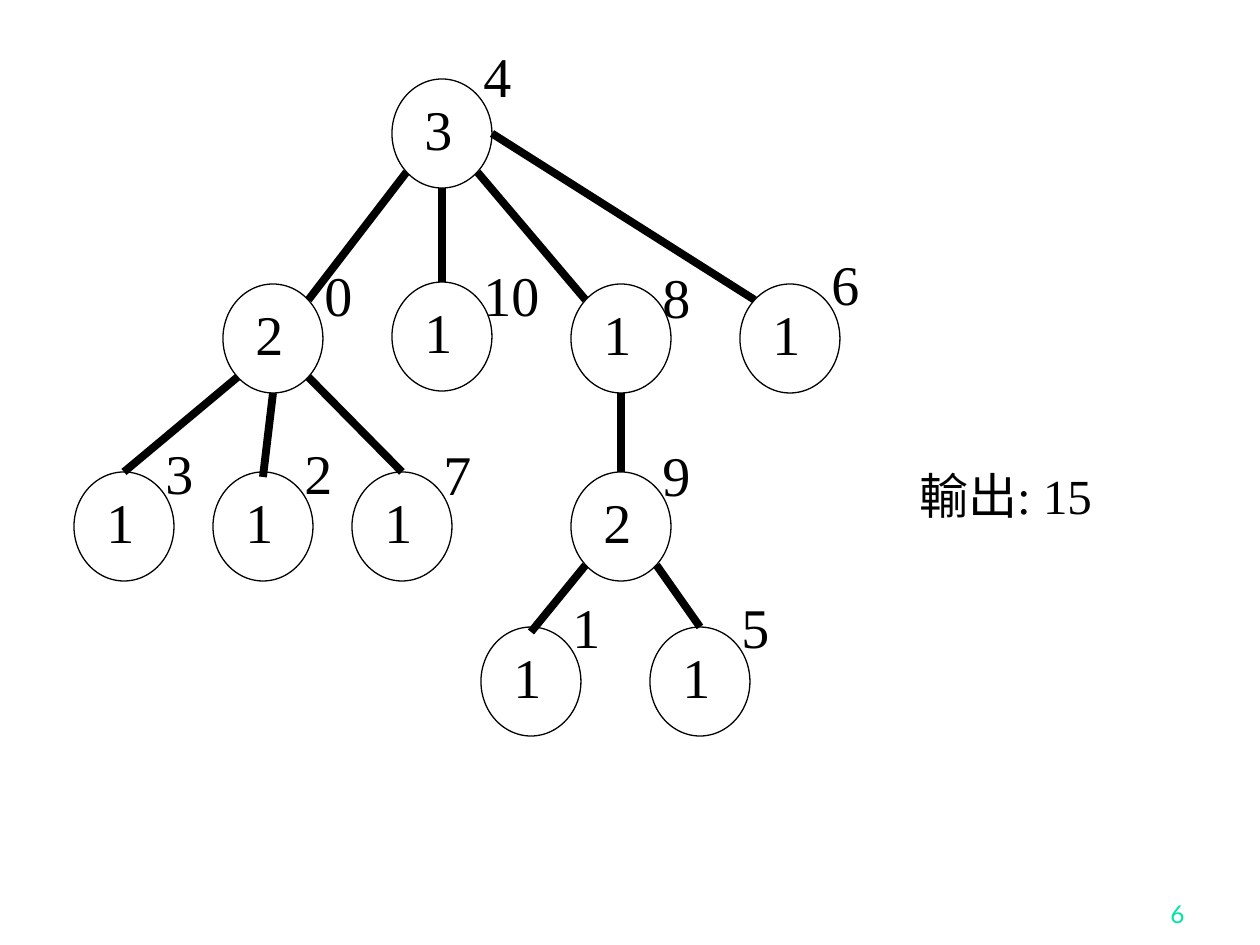
from lxml import etree
from pptx import Presentation
from pptx.dml.color import RGBColor
from pptx.enum.shapes import MSO_CONNECTOR, MSO_SHAPE
from pptx.enum.text import MSO_ANCHOR, PP_ALIGN
from pptx.oxml.ns import qn
from pptx.util import Pt

STRAIGHT, ELLIPSE = MSO_CONNECTOR.STRAIGHT, MSO_SHAPE.OVAL
TOP, BOTTOM = MSO_ANCHOR.TOP, MSO_ANCHOR.BOTTOM
LEFT, RIGHT = PP_ALIGN.LEFT, PP_ALIGN.RIGHT

COLORS = {"ink": "000000", "page": "00E4A8"}
SERIF, SANS = "Times New Roman", "Lato"

# Content: node label -> (count inside, left, top, label offset x, y)
NODES = {
    "4": ("3", 392, 79, 79, -44),
    "0": ("2", 223, 284, 89, -30),
    "10": ("1", 392, 282, 79, -28),
    "8": ("1", 571, 284, 79, -28),
    "6": ("1", 740, 284, 79, -41),
    "3": ("1", 74, 472, 79, -40),
    "2": ("1", 213, 472, 79, -40),
    "7": ("1", 352, 472, 79, -39),
    "9": ("2", 571, 472, 79, -38),
    "1": ("1", 481, 627, 79, -41),
    "5": ("1", 650, 627, 79, -41),
}
# Parent, side it leaves from, child, side it reaches, px inside the child
EDGES = [
    ("4", "sw", "0", "ne", 0),
    ("4", "s", "10", "n", 0),
    ("4", "se", "8", "nw", 0),
    ("4", "e", "6", "nw", 0),
    ("0", "sw", "3", "n", 0),
    ("0", "s", "2", "n", 5),
    ("0", "se", "7", "n", 0),
    ("8", "s", "9", "n", 0),
    ("9", "sw", "1", "n", 5),
    ("9", "se", "5", "n", 0),
]
ANSWER = "輸出: 15"
PAGE = "6"

# Sizes in px
NODE_W, NODE_H = 100, 109
TEXT_W, TEXT_H = 69, 81
WIDE_TEXT_W = 90
COUNT_DX, COUNT_DY = 20, 9
DIAGONAL = 0.71
SIDES = {
    "n": (0, -1), "s": (0, 1), "e": (1, 0),
    "ne": (DIAGONAL, -DIAGONAL), "nw": (-DIAGONAL, -DIAGONAL),
    "se": (DIAGONAL, DIAGONAL), "sw": (-DIAGONAL, DIAGONAL),
}


def px(length):
    return round(length * 914400 / 126)


def color(name):
    return RGBColor.from_string(COLORS[name])


def add_text(text, x, y, w, h, size=32, font=SERIF, ink="ink",
             align=LEFT, anchor=TOP):
    frame = slide.shapes.add_textbox(px(x), px(y), px(w), px(h)).text_frame
    frame.word_wrap = True
    frame.vertical_anchor = anchor
    frame.text = text
    paragraph = frame.paragraphs[0]
    paragraph.alignment = align
    run_font = paragraph.runs[0].font
    run_font.name, run_font.size = font, Pt(size)
    run_font.color.rgb = color(ink)


def add_node(x, y):
    node = slide.shapes.add_shape(ELLIPSE, px(x), px(y), px(NODE_W), px(NODE_H))
    node.shadow.inherit = False
    node.fill.background()
    node.line.color.rgb = color("ink")
    node.line.width = Pt(0.75)


def side_point(label, side):
    _, x, y, _, _ = NODES[label]
    dx, dy = SIDES[side]
    return x + NODE_W / 2 * (1 + dx), y + NODE_H / 2 * (1 + dy)


def add_edge(parent, leaves, child, reaches, inside):
    x1, y1 = side_point(parent, leaves)
    x2, y2 = side_point(child, reaches)
    edge = slide.shapes.add_connector(
        STRAIGHT, px(x1), px(y1), px(x2), px(y2 + inside))
    edge.line.color.rgb = color("ink")
    edge.line.width = Pt(4.5)
    etree.SubElement(edge._element.spPr, qn("a:effectLst"))


prs = Presentation()
prs.slide_width, prs.slide_height = px(1260), px(945)
slide = prs.slides.add_slide(prs.slide_layouts[6])

# Tree
for _, x, y, _, _ in NODES.values():
    add_node(x, y)
for edge_ends in EDGES:
    add_edge(*edge_ends)
for label, (count, x, y, dx, dy) in NODES.items():
    add_text(count, x + COUNT_DX, y + COUNT_DY, TEXT_W, TEXT_H)
    label_w = WIDE_TEXT_W if len(label) > 1 else TEXT_W
    add_text(label, x + dx, y + dy, label_w, TEXT_H)

# Answer and page number
add_text(ANSWER, 907, 459, 228, 72, size=28)
add_text(PAGE, 935, 872, 262, 63, size=14, font=SANS, ink="page",
         align=RIGHT, anchor=BOTTOM)

prs.save("out.pptx")
